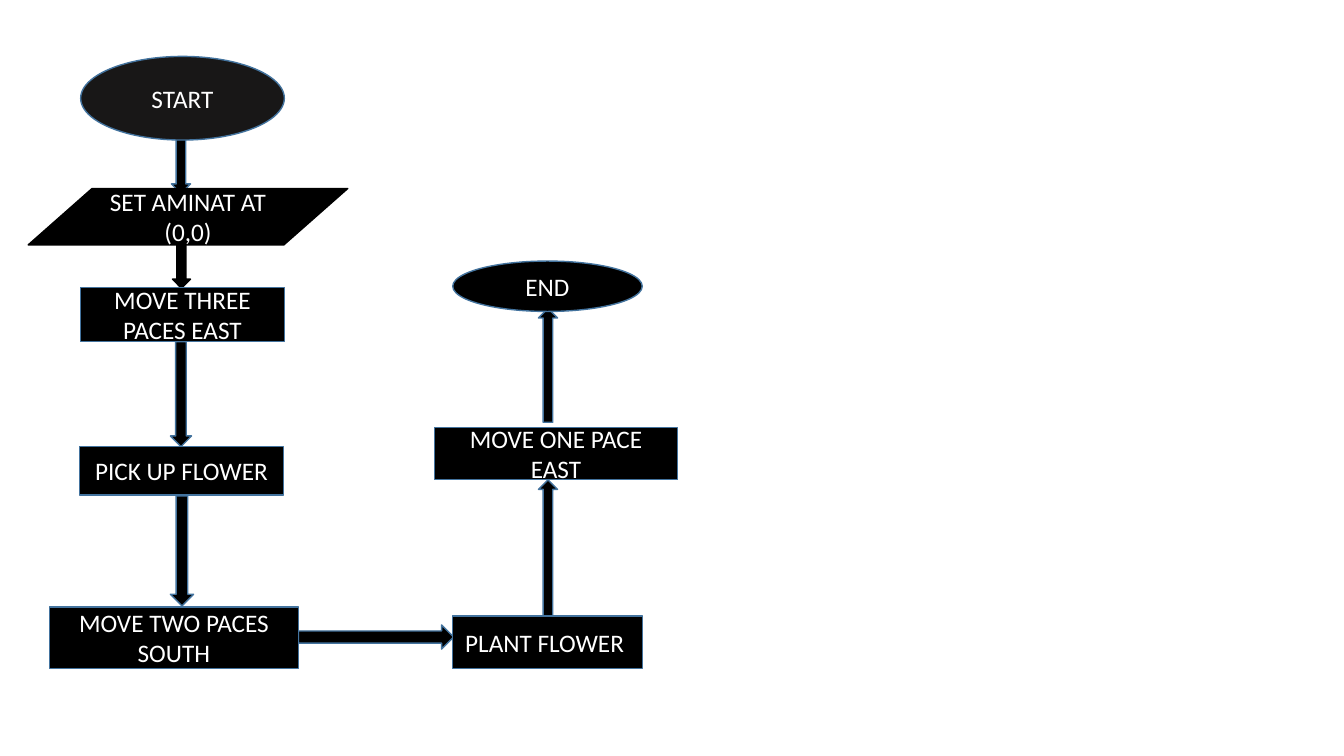
from dataclasses import dataclass

import pptx
import pptx.dml.color
import pptx.enum.shapes
import pptx.enum.text
import pptx.util

Inches = pptx.util.Inches
Pt = pptx.util.Pt
RGBColor = pptx.dml.color.RGBColor
Geometry = pptx.enum.shapes.MSO_SHAPE


@dataclass(frozen=True)
class Theme:
    black: RGBColor = RGBColor(0x00, 0x00, 0x00)
    charcoal: RGBColor = RGBColor(0x18, 0x17, 0x17)
    blue: RGBColor = RGBColor(0x43, 0x73, 0x9E)
    white: RGBColor = RGBColor(0xFF, 0xFF, 0xFF)
    font: str = "Calibri"
    text_size: Pt = Pt(18)
    outline: Pt = Pt(1)


THEME = Theme()


@dataclass(frozen=True)
class Block:
    """A flowchart block in inches; arrows carry no label."""
    geometry: Geometry
    left: float
    top: float
    width: float
    height: float
    label: str = ""
    fill: RGBColor = THEME.black
    line: RGBColor = THEME.blue


# Arrows in flow order
ARROWS = [
    Block(Geometry.DOWN_ARROW, 1.7, 1.38, 0.19, 0.54),
    Block(Geometry.DOWN_ARROW, 1.71, 2.43, 0.18, 0.43, line=THEME.black),
    Block(Geometry.DOWN_ARROW, 1.69, 3.39, 0.21, 1.04),
    Block(Geometry.DOWN_ARROW, 1.69, 4.92, 0.23, 1.09),
    Block(Geometry.RIGHT_ARROW, 2.96, 6.2, 1.54, 0.24),
    Block(Geometry.UP_ARROW, 5.34, 4.76, 0.19, 1.35),
    Block(Geometry.UP_ARROW, 5.34, 3.06, 0.19, 1.13),
]

# Steps in flow order: down the left column, then up the right one
STEPS = [
    Block(Geometry.OVAL, 0.8, 0.56, 2.02, 0.83, "START", fill=THEME.charcoal),
    Block(Geometry.FLOWCHART_DATA, 0.28, 1.87, 3.17, 0.56,
          "SET AMINAT AT (0,0)", line=THEME.black),
    Block(Geometry.RECTANGLE, 0.8, 2.85, 2.02, 0.54, "MOVE THREE PACES EAST"),
    Block(Geometry.RECTANGLE, 0.79, 4.43, 2.02, 0.48, "PICK UP FLOWER"),
    Block(Geometry.RECTANGLE, 0.49, 6.02, 2.47, 0.61, "MOVE TWO PACES SOUTH"),
    Block(Geometry.RECTANGLE, 4.49, 6.11, 1.88, 0.52, "PLANT FLOWER "),
    Block(Geometry.RECTANGLE, 4.31, 4.24, 2.41, 0.52, "MOVE ONE PACE EAST"),
    Block(Geometry.OVAL, 4.49, 2.59, 1.88, 0.5, "END"),
]


def draw_block(slide: pptx.slide.Slide, block: Block) -> None:
    drawn = slide.shapes.add_shape(
        block.geometry, Inches(block.left), Inches(block.top),
        Inches(block.width), Inches(block.height))
    drawn.shadow.inherit = False
    drawn.fill.solid()
    drawn.fill.fore_color.rgb = block.fill
    drawn.line.color.rgb = block.line
    drawn.line.width = THEME.outline
    if block.label:
        write_label(drawn.text_frame, block.label)


def write_label(frame: pptx.text.text.TextFrame, label: str) -> None:
    frame.word_wrap = True
    frame.vertical_anchor = pptx.enum.text.MSO_ANCHOR.MIDDLE
    paragraph = frame.paragraphs[0]
    paragraph.text = label
    paragraph.alignment = pptx.enum.text.PP_ALIGN.CENTER
    paragraph.font.name = THEME.font
    paragraph.font.size = THEME.text_size
    paragraph.font.color.rgb = THEME.white


presentation = pptx.Presentation()
presentation.slide_width = Inches(13.33)
presentation.slide_height = Inches(7.5)
flowchart = presentation.slides.add_slide(
    presentation.slide_layouts.get_by_name("Blank"))

# Steps go over the arrows so that they cover the overlapping tips
for block in ARROWS + STEPS:
    draw_block(flowchart, block)

presentation.save("out.pptx")
